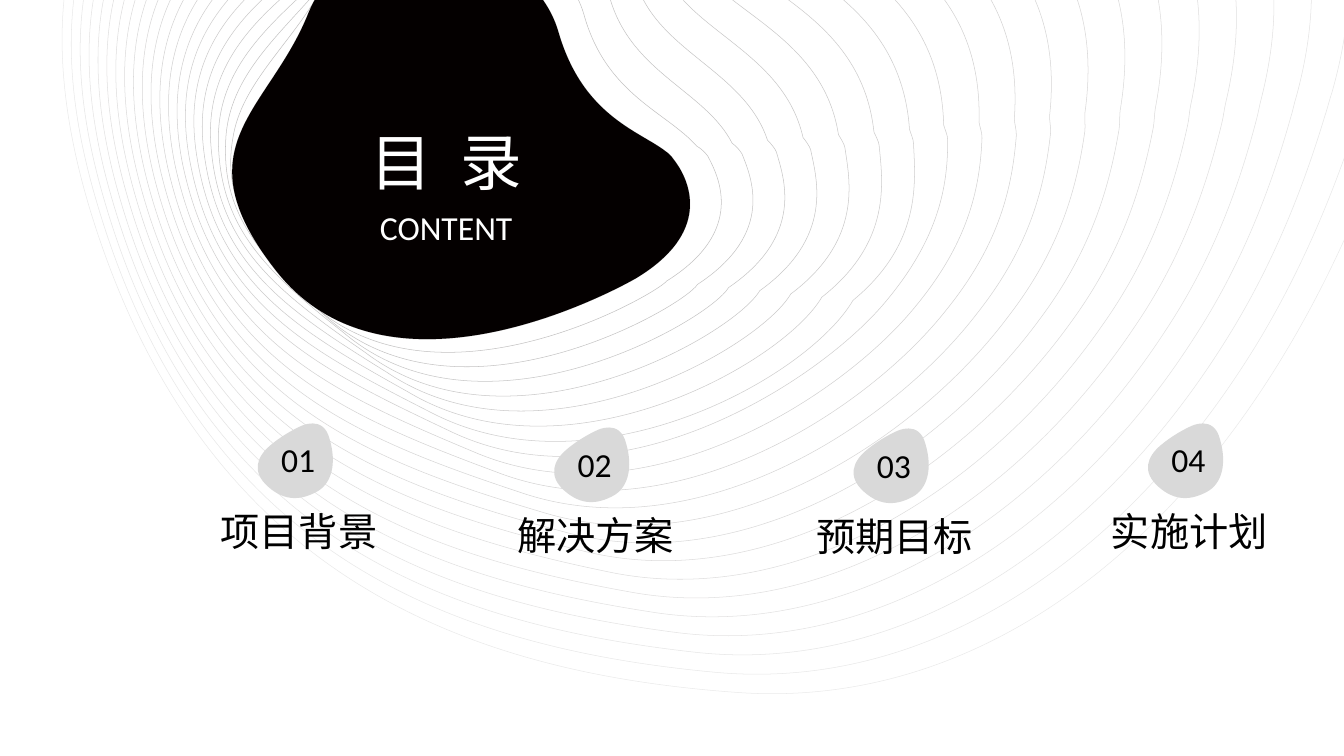
from dataclasses import dataclass
from itertools import pairwise

from lxml.etree import SubElement
from pptx import Presentation
from pptx.dml.color import RGBColor
from pptx.enum.text import MSO_AUTO_SIZE, PP_ALIGN
from pptx.oxml.ns import qn
from pptx.util import Inches, Pt


@dataclass(frozen=True)
class Theme:
    ink: str = "040000"
    paper: str = "FFFFFF"
    text: str = "000000"
    badge: str = "D9D9D9"
    latin: str = "Calibri"
    cjk: str = "Noto Sans CJK SC"
    title: int = 44
    label: int = 28
    number: int = 24
    hairline: float = 0.38


THEME = Theme()

OUTER_RING = [
    (10.88, -3.34), (10.88, -3.34), (15.13, -3.05), (13.91, 0.86),
    (12.69, 4.76), (10.14, 7.07), (7.32, 6.87), (4.5, 6.67), (1.97, 5.63),
    (0.89, 2.07), (-0.18, -1.49), (2.03, -2.91), (4.96, -3.34),
    (7.88, -3.78), (10.88, -3.34), (10.88, -3.34),
]
KEY_RINGS = {
    1: [(7.1, 6.67), (4.4, 6.42), (1.98, 5.45), (0.97, 2.04), (-0.06, -1.37),
        (2.08, -2.73), (4.86, -3.18), (7.67, -3.63), (10.61, -3.22),
        (10.62, -3.17), (10.64, -3.13), (14.67, -2.85), (13.56, 0.89),
        (13.53, 0.97), (13.51, 1.05), (13.48, 1.13), (13.22, 1.95),
        (12.89, 2.71), (12.48, 3.39), (11.15, 5.58), (9.18, 6.86), (7.1, 6.67)],
    7: [(5.8, 5.47), (3.79, 4.99), (2.06, 4.32), (1.39, 1.83), (0.72, -0.68),
        (2.34, -1.64), (4.32, -2.19), (6.45, -2.76), (9.01, -2.46),
        (9.1, -2.12), (9.18, -1.85), (11.98, -1.64), (11.46, 1.07),
        (11.45, 1.13), (11.45, 1.2), (11.44, 1.26), (11.32, 1.89),
        (11.11, 2.53), (10.62, 3.2), (9.57, 4.66), (7.65, 5.92), (5.8, 5.47)],
    13: [(4.49, 4.29), (3.19, 3.67), (2.14, 3.2), (1.81, 1.62), (1.5, 0.03),
         (2.6, -0.61), (3.79, -1.19), (5.26, -1.92), (7.39, -1.7),
         (7.57, -1.07), (7.72, -0.57), (9.32, -0.37), (9.36, 1.24),
         (9.37, 1.28), (9.4, 1.34), (9.4, 1.39), (9.4, 1.82), (9.33, 2.35),
         (8.77, 3.01), (8.11, 3.79), (6.14, 5.06), (4.49, 4.29)],
    14: [(4.27, 4.09), (3.08, 3.48), (2.14, 3.01), (1.88, 1.58), (1.62, 0.15),
         (2.64, -0.44), (3.69, -1.02), (5.05, -1.78), (7.12, -1.57),
         (7.32, -0.9), (7.47, -0.35), (8.92, -0.16), (9.02, 1.28),
         (9.03, 1.32), (9.06, 1.38), (9.06, 1.42), (9.08, 1.81), (9.14, 2.42),
         (8.46, 2.98), (8.01, 3.75), (5.88, 4.93), (4.27, 4.09)],
    20: [(2.97, 2.9), (2.4, 2.29), (2.22, 1.88), (2.31, 1.37), (2.39, 0.85),
         (2.84, 0.48), (3.15, -0.04), (3.78, -1.09), (5.51, -0.82),
         (5.79, 0.14), (6.01, 0.94), (6.61, 1.11), (6.91, 1.45), (6.95, 1.47),
         (7, 1.52), (7.02, 1.55), (7.12, 1.74), (7.41, 2.29), (6.61, 2.79),
         (6.54, 2.9), (4.24, 4.25), (2.97, 2.9)],
}
BLOB = [
    (6.31, 2.76), (6.31, 2.76), (3.92, 4.16), (2.75, 2.7), (1.76, 1.45),
    (2.67, 1.11), (3.06, 0.13), (3.51, -0.98), (5.25, -0.69), (5.54, 0.32),
    (5.78, 1.15), (6.34, 1.3), (6.6, 1.5), (6.63, 1.52), (6.66, 1.55),
    (6.68, 1.58), (6.8, 1.73), (7.12, 2.27), (6.31, 2.76),
]
PEBBLE = [
    (0.49, 0.12), (0.49, 0.12), (0.72, 0), (0.78, 0.25), (0.85, 0.49),
    (0.8, 0.69), (0.65, 0.77), (0.5, 0.85), (0.34, 0.87), (0.17, 0.72),
    (0, 0.57), (0.06, 0.42), (0.19, 0.31), (0.33, 0.19), (0.49, 0.12),
    (0.49, 0.12),
]
SECTIONS = [
    ("01", "项目背景", 2.49, 4.11),
    ("02", "解决方案", 5.43, 4.15),
    ("03", "预期目标", 8.4, 4.16),
    ("04", "实施计划", 11.32, 4.11),
]


def add_curve(shapes, points, left=0, top=0, fill=None, line=None):
    pts = [(Inches(left + x), Inches(top + y)) for x, y in points]
    builder = shapes.build_freeform(*pts[0], scale=1.0)
    builder.add_line_segments(pts[1:], close=True)
    sp = builder.convert_to_shape()
    sp.shadow.inherit = False
    segments = list(sp._element.iter(qn("a:lnTo")))
    for i in range(0, len(segments), 3):
        curve = segments[i]
        curve.tag = qn("a:cubicBezTo")
        for segment in segments[i + 1:i + 3]:
            curve.append(segment[0])
            segment.getparent().remove(segment)
    if fill:
        sp.fill.solid()
        sp.fill.fore_color.rgb = RGBColor.from_string(fill)
    else:
        sp.fill.background()
    if line:
        sp.line.color.rgb = line
        sp.line.width = Pt(THEME.hairline)
    else:
        sp.line.fill.background()
    return sp


def add_text(shapes, text, left, top, width, height, *, size,
             color=THEME.text, font=THEME.latin, tracking=0):
    tb = shapes.add_textbox(Inches(left), Inches(top), Inches(width), Inches(height))
    tf = tb.text_frame
    tf.word_wrap = False
    tf.auto_size = MSO_AUTO_SIZE.SHAPE_TO_FIT_TEXT
    p = tf.paragraphs[0]
    p.alignment = PP_ALIGN.LEFT
    r = p.add_run()
    r.text = text
    r.font.size = Pt(size)
    r.font.name = font
    r.font.color.rgb = RGBColor.from_string(color)
    props = r._r.get_or_add_rPr()
    SubElement(props, qn("a:ea"), typeface=THEME.cjk)
    if tracking:
        props.set("spc", str(tracking * 100))
    return tb


def blend(start, end, t):
    return [(x0 + (x1 - x0) * t, y0 + (y1 - y0) * t)
            for (x0, y0), (x1, y1) in zip(start, end)]


def ring_outlines():
    rings = [OUTER_RING]
    for a, b in pairwise(KEY_RINGS):
        rings += [blend(KEY_RINGS[a], KEY_RINGS[b], (i - a) / (b - a))
                  for i in range(a, b)]
    return rings + [KEY_RINGS[20], BLOB]


def draw_backdrop(s):
    shapes = s.shapes.add_group_shape().shapes
    for i, ring in enumerate(ring_outlines()):
        red = 0xEA - 2 * i
        tint = red - (i > 2)
        add_curve(shapes, ring, line=RGBColor(red, tint, tint))
    add_curve(shapes, BLOB, fill=THEME.ink)


def draw_title(s, left, top):
    add_text(s.shapes, "目 录", left, top, 1.72, 0.84,
             size=THEME.title, color=THEME.paper, tracking=5)
    add_text(s.shapes, "CONTENT", left + 0.09, top + 0.82, 1.52, 0.5,
             size=THEME.number, color=THEME.paper)


def draw_section(s, number, label, left, top):
    badge = s.shapes.add_group_shape().shapes
    add_curve(badge, PEBBLE, left, top, fill=THEME.badge)
    add_text(badge, number, left + 0.2, top + 0.2, 0.54, 0.5, size=THEME.number)
    add_text(s.shapes, label, left - 0.4, top + 0.87, 1.77, 0.57,
             size=THEME.label, font=THEME.cjk)


def main():
    prs = Presentation()
    prs.slide_width, prs.slide_height = Inches(13.33), Inches(7.5)
    s = prs.slides.add_slide(prs.slide_layouts[6])
    draw_backdrop(s)
    draw_title(s, 3.58, 1.18)
    for section in SECTIONS:
        draw_section(s, *section)
    prs.save("out.pptx")


if __name__ == "__main__":
    main()
